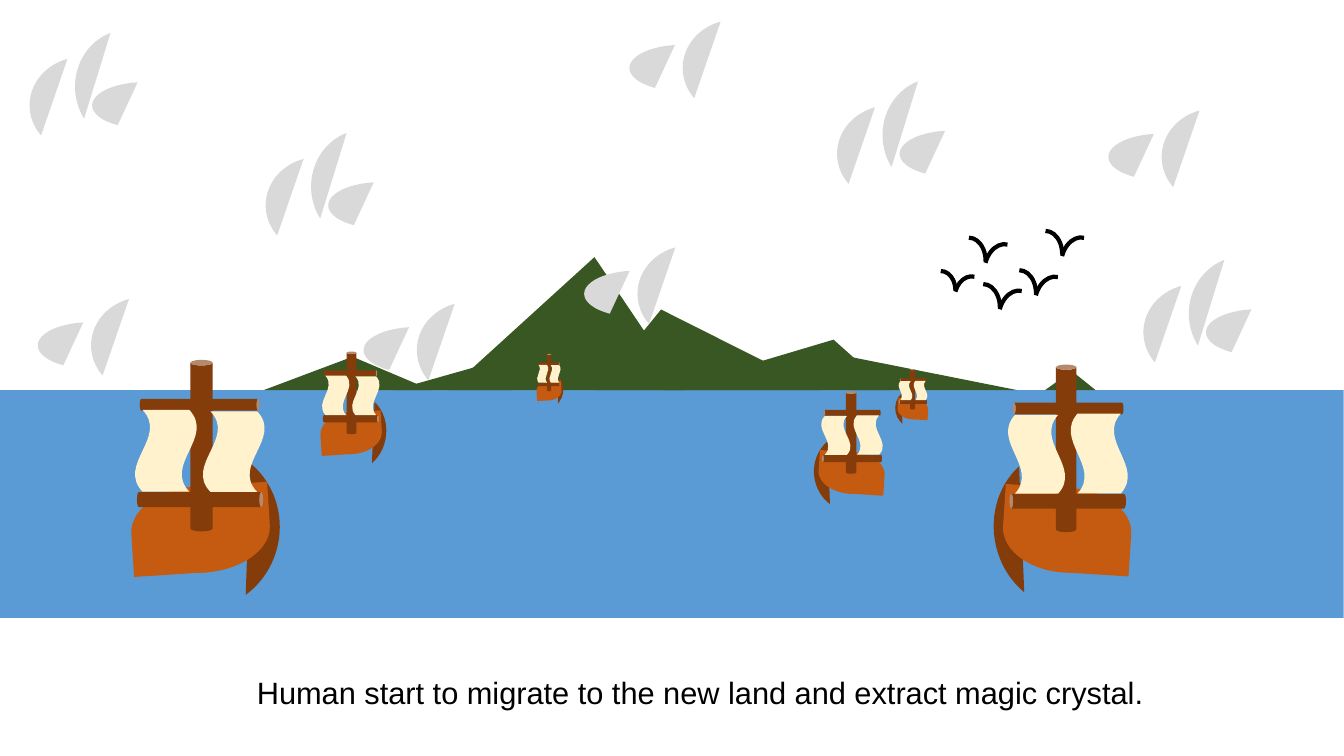
from dataclasses import dataclass, replace

from pptx import Presentation
from pptx.dml.color import RGBColor
from pptx.enum.shapes import MSO_SHAPE as Shape
from pptx.enum.text import MSO_ANCHOR as Anchor, MSO_AUTO_SIZE as AutoSize, PP_ALIGN as Align
from pptx.util import Cm, Pt

SEA, LAND, CLOUD = "5B9BD5", "385723", "D9D9D9"
WOOD, HULL, SAIL, BLACK = "843C0B", "C55A11", "FFF2CC", "000000"
HORIZON = 9.83
CHORD_UNIT = 0.6
HULL_WIDTH, MAST_HEIGHT = 3.43, 4.32


@dataclass(frozen=True)
class Part:
    kind: Shape
    cx: float
    cy: float
    w: float
    h: float
    fill: str = ""
    rot: float = 0
    adj: tuple = ()
    flip: bool = False


@dataclass(frozen=True)
class Mountain:
    x: float
    w: float
    h: float
    peak: float
    flip: bool = False


@dataclass(frozen=True)
class Lobe:
    dx: float
    dy: float
    w: float


@dataclass(frozen=True)
class Cloud:
    x: float
    y: float
    lobes: tuple


@dataclass(frozen=True)
class Ship:
    mast_x: float
    mast_top: float
    hull: float
    mast: float
    flip: bool = False


@dataclass(frozen=True)
class Bird:
    x: float
    y: float
    w: float = 0.84
    h: float = 1.17


MOUNTAINS = (
    Mountain(16.74, 5.69, 1.27, 0.75),
    Mountain(15.01, 5.69, 2.03, 0.29),
    Mountain(11.3, 5.94, 3.35, 0.62),
    Mountain(9.93, 2.97, 0.84, 1),
    Mountain(21.41, 4.22, 0.84, 1, True),
    Mountain(6.65, 4.22, 0.84, 0.47, True),
    Mountain(26.34, 1.27, 0.48, 0.47, True),
)
LOBE_HEIGHT = 2.67
FLAT = (Lobe(0, 0, 1.17), Lobe(0.71, 0, 2.44))
TALL = (Lobe(2.21, 0, 1.17), Lobe(0, 0, 2.44), Lobe(0.93, -0.47, 2.87))
CLOUDS = (
    Cloud(15.47, 6.07, FLAT),
    Cloud(28.68, 2.62, FLAT),
    Cloud(1.7, 7.37, FLAT),
    Cloud(16.61, 0.38, FLAT),
    Cloud(6.81, 3.84, TALL),
    Cloud(21.21, 2.54, TALL),
    Cloud(0.86, 1.32, TALL),
    Cloud(28.93, 7.04, TALL),
    Cloud(9.91, 7.49, FLAT),
)
SHIP_PARTS = (
    Part(Shape.CHORD, -0.05, 4.23, 4.17, 4.04, WOOD, 281.1, (27 * CHORD_UNIT, 134.35 * CHORD_UNIT)),
    Part(Shape.TEAR, 0.01, 4.27, 3.43, 2.18, HULL, 356.3),
    Part(Shape.TEAR, -0.06, 4.27, 3.43, 2.18, HULL, 176.3),
    Part(Shape.CAN, 0, 2.16, 0.56, 4.32, WOOD),
    Part(Shape.CAN, -0.05, 1.13, 0.3, 3.02, WOOD, 90),
    Part(Shape.CAN, -0.04, 3.52, 0.38, 3.18, WOOD, 90),
    Part(Shape.WAVE, -0.9, 2.29, 2.06, 1.57, SAIL, 90),
    Part(Shape.WAVE, 0.81, 2.31, 2.03, 1.57, SAIL, 90),
)
SHIPS = (
    Ship(5.08, 9.07, 3.43, 4.32),
    Ship(23, 9.3, 0.76, 1.02, True),
    Ship(13.84, 8.92, 0.62, 0.94),
    Ship(21.45, 9.86, 1.63, 2.08, True),
    Ship(26.87, 9.19, 3.17, 4.22, True),
    Ship(8.86, 8.86, 1.52, 2.08),
)
BIRDS = (
    Bird(25.27, 6.81),
    Bird(25.93, 5.82),
    Bird(24, 5.99),
    Bird(24.36, 7.16),
    Bird(23.34, 6.83, 0.74, 0.97),
)


def rgb(value: str) -> RGBColor:
    return RGBColor.from_string(value)


def assign(target, values: dict) -> None:
    for name, value in values.items():
        setattr(target, name, value)


def draw(shapes, part: Part) -> None:
    left, top = part.cx - part.w / 2, part.cy - part.h / 2
    sp = shapes.add_shape(part.kind, Cm(left), Cm(top), Cm(part.w), Cm(part.h))
    sp.shadow.inherit = False
    sp.rotation = part.rot
    for i, value in enumerate(part.adj):
        sp.adjustments[i] = value
    if part.flip:
        sp.element.spPr.xfrm.set("flipH", "1")
    if part.fill:
        sp.fill.solid()
        sp.fill.fore_color.rgb = rgb(part.fill)
        sp.line.fill.background()
    else:
        sp.fill.background()
        sp.line.color.rgb = rgb(BLACK)
        sp.line.width = Pt(3)


def draw_group(shapes, parts: list[Part]) -> None:
    group = shapes.add_group_shape()
    for part in parts:
        draw(group.shapes, part)


def mountain_part(m: Mountain) -> Part:
    return Part(Shape.ISOSCELES_TRIANGLE, m.x + m.w / 2, HORIZON - m.h / 2, m.w, m.h,
                LAND, adj=(m.peak,), flip=m.flip)


def cloud_parts(c: Cloud) -> list[Part]:
    return [Part(Shape.CHORD, c.x + lobe.dx + lobe.w / 2, c.y + lobe.dy + LOBE_HEIGHT / 2,
                 lobe.w, LOBE_HEIGHT, CLOUD, 90, (54.02 * CHORD_UNIT, 162 * CHORD_UNIT))
            for lobe in c.lobes]


def ship_part(ship: Ship, part: Part) -> Part:
    sx, sy = ship.hull / HULL_WIDTH, ship.mast / MAST_HEIGHT
    sideways = 45 <= part.rot % 180 < 135
    sw, sh = (sy, sx) if sideways else (sx, sy)
    side = -1 if ship.flip else 1
    return replace(part, cx=ship.mast_x + side * part.cx * sx, cy=ship.mast_top + part.cy * sy,
                   w=part.w * sw, h=part.h * sh, rot=side * part.rot % 360, flip=ship.flip)


def bird_parts(b: Bird) -> list[Part]:
    return [Part(Shape.ARC, b.x + b.w / 2, b.y + b.h / 2, b.w, b.h),
            Part(Shape.ARC, b.x + 1.48 * b.w, b.y + 0.63 * b.h, b.h, b.w, rot=284.6)]


def write_caption(title, text: str) -> None:
    assign(title, dict(left=Cm(6.22), top=Cm(16.84), width=Cm(25.7), height=Cm(1.19)))
    tf = title.text_frame
    assign(tf, dict(word_wrap=True, auto_size=AutoSize.SHAPE_TO_FIT_TEXT, vertical_anchor=Anchor.TOP))
    p = tf.paragraphs[0]
    p.alignment = Align.LEFT
    r = p.add_run()
    r.text = text
    assign(r.font, dict(name="Arial", size=Pt(22)))
    r.font.color.rgb = rgb(BLACK)


def main() -> None:
    prs = Presentation()
    assign(prs, dict(slide_width=Cm(33.87), slide_height=Cm(19.05)))
    s = prs.slides.add_slide(prs.slide_layouts[5])
    write_caption(s.shapes.title, "Human start to migrate to the new land and extract magic crystal.")
    draw(s.shapes, Part(Shape.RECTANGLE, 16.93, 12.7, 33.87, 5.74, SEA))
    draw_group(s.shapes, [mountain_part(m) for m in MOUNTAINS])
    for cloud in CLOUDS:
        draw_group(s.shapes, cloud_parts(cloud))
    for ship in SHIPS:
        draw_group(s.shapes, [ship_part(ship, part) for part in SHIP_PARTS])
    for bird in BIRDS:
        draw_group(s.shapes, bird_parts(bird))
    prs.save("out.pptx")


if __name__ == "__main__":
    main()
